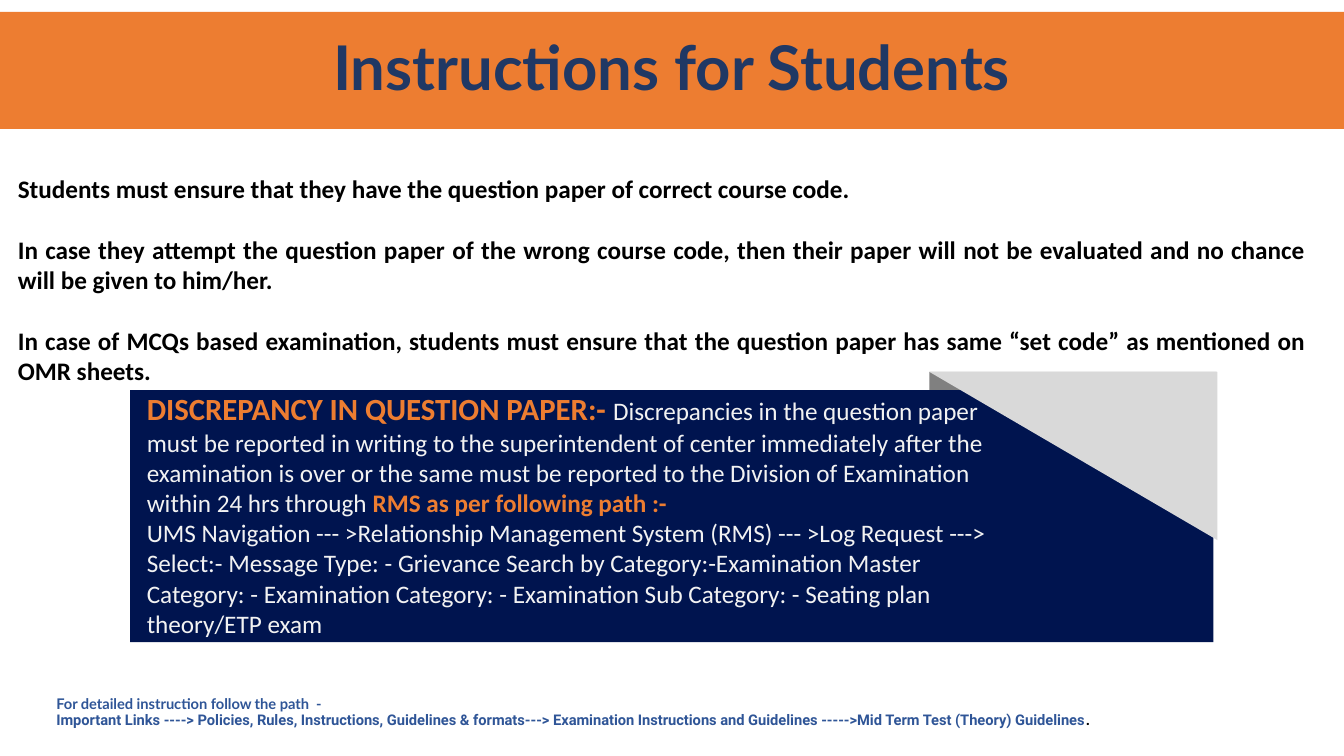
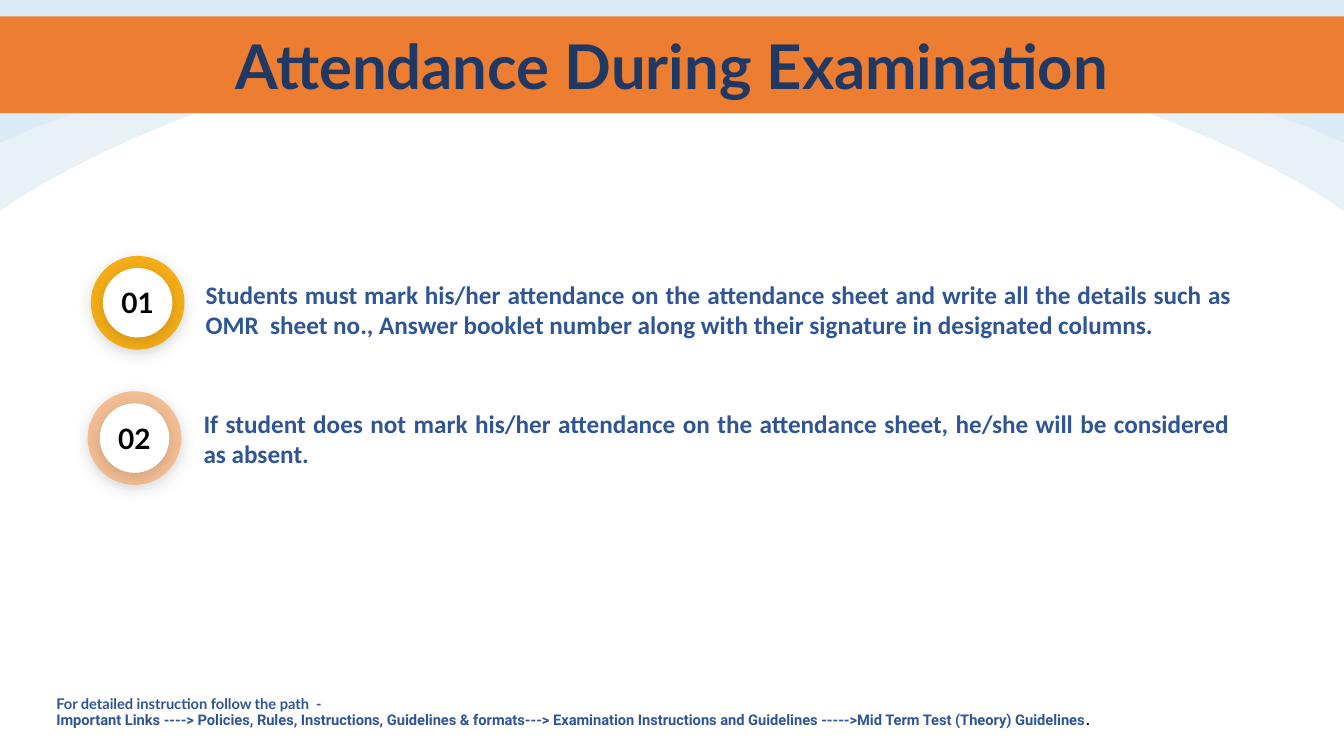
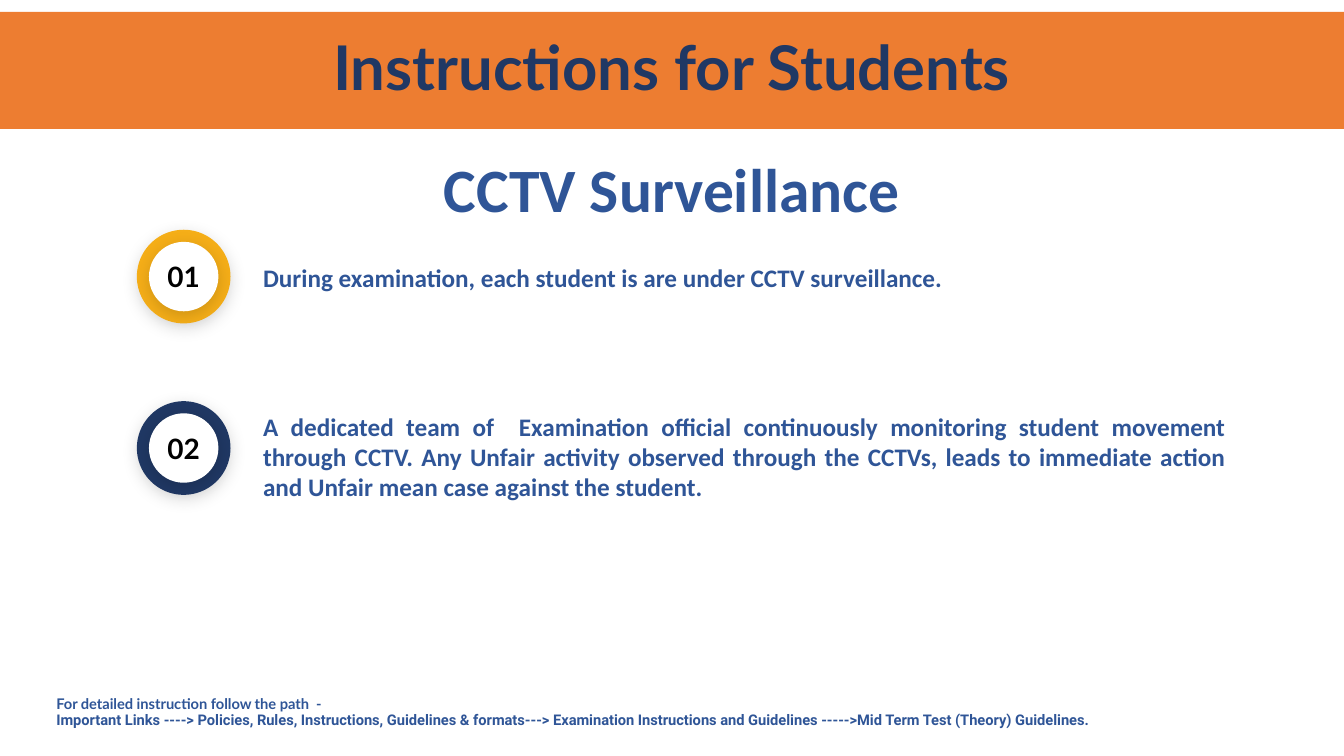
from lxml.etree import SubElement
from pptx import Presentation
from pptx.dml.color import RGBColor
from pptx.enum.shapes import MSO_SHAPE
from pptx.enum.text import MSO_ANCHOR, MSO_AUTO_SIZE, PP_ALIGN
from pptx.oxml import parse_xml
from pptx.oxml.ns import nsdecls, qn
from pptx.util import Cm, Pt

ORANGE = RGBColor(0xED, 0x7D, 0x31)
NAVY = RGBColor(0x20, 0x38, 0x64)
BLUE = RGBColor(0x2F, 0x55, 0x97)
PANEL = RGBColor(0x00, 0x14, 0x4F)
AMBER = RGBColor(0xF5, 0xAE, 0x18)
PEACH = RGBColor(0xF3, 0xBE, 0x94)
GRAY = RGBColor(0x80, 0x80, 0x80)
SILVER = RGBColor(0xD9, 0xD9, 0xD9)
OFF_WHITE = RGBColor(0xF2, 0xF2, 0xF2)
PALE = RGBColor(0xE8, 0xF1, 0xF6)
SKY = RGBColor(0x7A, 0xC2, 0xF9)
WHITE = RGBColor(0xFF, 0xFF, 0xFF)
BLACK = RGBColor(0x00, 0x00, 0x00)

WIDTH, HEIGHT = 33.87, 19.05
RING, DISC = 2.36, 1.75
CURVE_STEPS = 24
FOOTER_LEAD = "For detailed instruction follow the path  -"
FOOTER_PATH = (
    "Important Links ----> Policies, Rules, Instructions, Guidelines & formats---> "
    "Examination Instructions and Guidelines ----->Mid Term Test (Theory) Guidelines"
)


def write(frame, paragraphs, align=PP_ALIGN.LEFT, anchor=MSO_ANCHOR.TOP, inset=None,
          spacing=None, gap=0, **style):
    """Fill a frame with paragraphs, each a string or a list of (text, style) runs."""
    frame.word_wrap = True
    frame.auto_size = MSO_AUTO_SIZE.NONE
    frame.vertical_anchor = anchor
    if inset is not None:
        frame.margin_left = frame.margin_right = Cm(inset)
        frame.margin_top = frame.margin_bottom = Cm(inset)
    for index, content in enumerate(paragraphs):
        paragraph = frame.add_paragraph() if index else frame.paragraphs[0]
        paragraph.alignment = align
        if spacing:
            paragraph.line_spacing = spacing
        if index and gap:
            paragraph.space_before = Pt(gap)
        runs = [(content, {})] if isinstance(content, str) else content
        for words, changes in runs:
            look = {"size": 18, "font": "Calibri", "color": BLUE, "bold": True, **style, **changes}
            run = paragraph.add_run()
            run.text = words
            run.font.size = Pt(look["size"])
            run.font.name = look["font"]
            run.font.bold = look["bold"]
            run.font.color.rgb = look["color"]


def bezier(start, first, second, end, t):
    """Return one coordinate of a cubic curve."""
    u = 1 - t
    return u**3 * start + 3 * u * u * t * first + 3 * u * t * t * second + t**3 * end


class Deck:
    """Holds the presentation, its style and the current slide."""

    def __init__(self):
        """Start an empty widescreen deck."""
        self.presentation = Presentation()
        self.presentation.slide_width = Cm(WIDTH)
        self.presentation.slide_height = Cm(HEIGHT)

    def start_slide(self):
        """Add a title-only slide."""
        self.slide = self.presentation.slides.add_slide(self.presentation.slide_layouts[5])

    def title(self, words, top=0.3, height=2.95, spacing=0.9):
        """Turn the title into the orange band in front of the other parts."""
        band = self.slide.shapes.title
        band.left, band.top, band.width, band.height = map(Cm, (0, top, WIDTH, height))
        band.fill.solid()
        band.fill.fore_color.rgb = ORANGE
        write(band.text_frame, [words], align=PP_ALIGN.CENTER, anchor=MSO_ANCHOR.MIDDLE,
              spacing=spacing, size=44, font="Lato", color=NAVY)
        band.element.getparent().append(band.element)

    def paint(self, shape, color):
        """Give a shape a plain fill without line or shadow."""
        shape.shadow.inherit = False
        shape.fill.solid()
        shape.fill.fore_color.rgb = color
        shape.line.fill.background()
        return shape

    def shape(self, preset, box, color):
        """Add a plain preset shape."""
        return self.paint(self.slide.shapes.add_shape(preset, *map(Cm, box)), color)

    def text(self, box, paragraphs, **style):
        """Add a wrapped text box."""
        write(self.slide.shapes.add_textbox(*map(Cm, box)).text_frame, paragraphs, **style)

    def circle(self, left, top, diameter, color):
        """Add a circle with a soft shadow below it."""
        circle = self.shape(MSO_SHAPE.OVAL, (left, top, diameter, diameter), color)
        effects = circle.element.spPr.find(qn("a:effectLst"))
        effects.append(parse_xml(
            f'<a:outerShdw {nsdecls("a")} blurRad="{Pt(12)}" dist="{Pt(3)}" dir="5400000" '
            'algn="t" rotWithShape="0"><a:srgbClr val="000000"><a:alpha val="15000"/>'
            '</a:srgbClr></a:outerShdw>'))
        return circle

    def badge(self, left, top, number, color):
        """Add a numbered disc inside a coloured ring."""
        self.circle(left, top, RING, color)
        rim = (RING - DISC) / 2
        disc = self.circle(left + rim, top + rim, DISC, WHITE)
        write(disc.text_frame, [number], align=PP_ALIGN.CENTER, anchor=MSO_ANCHOR.MIDDLE,
              inset=0, size=20, font="Lato", color=BLACK)

    def arch(self, depth, color, alpha=100):
        """Add a tinted area across the top with an arched lower edge."""
        steps = [step / CURVE_STEPS for step in range(CURVE_STEPS + 1)]
        half = [(0, 0), (0, depth)] + [
            (bezier(0.64, 4.93, 10.67, WIDTH / 2, t),
             depth * bezier(0.92, 0.44, 0.15, 0.15, t)) for t in steps]
        outline = half + [(WIDTH - x, y) for x, y in reversed(half[:-1])]
        points = [(Cm(x), Cm(y)) for x, y in outline]
        builder = self.slide.shapes.build_freeform(*points[0])
        builder.add_line_segments(points[1:], close=True)
        arch = self.paint(builder.convert_to_shape(), color)
        if alpha < 100:
            tint = arch.element.spPr.find(qn("a:solidFill"))[0]
            SubElement(tint, qn("a:alpha")).set("val", str(alpha * 1000))

    def footer(self, stop_color=BLACK):
        """Add the path to the detailed instructions."""
        roboto = {"font": "Roboto"}
        self.text((1.42, 17.55, 28.04, 1.22),
                  [FOOTER_LEAD,
                   [(FOOTER_PATH, roboto), (".", {**roboto, "color": stop_color})]],
                  inset=0, spacing=0.9, size=10.5, font="Lato")


def question_paper_slide(deck):
    """Build the slide on question papers."""
    deck.start_slide()
    deck.shape(MSO_SHAPE.RECTANGLE, (23.42, 9.37, 7.24, 2.69), GRAY)
    deck.text((0.2, 4.24, 32.97, 5.64), [
        "Students must ensure that they have the question paper of correct course code.",
        "In case they attempt the question paper of the wrong course code, then their paper "
        "will not be evaluated and no chance will be given to him/her.",
        "In case of MCQs based examination, students must ensure that the question paper has "
        "same “set code” as mentioned on OMR sheets.",
    ], align=PP_ALIGN.JUSTIFY, gap=22, color=BLACK)
    deck.shape(MSO_SHAPE.RECTANGLE, (3.28, 9.83, 27.3, 6.35), PANEL)
    fold = deck.shape(MSO_SHAPE.RIGHT_TRIANGLE, (23.42, 9.37, 7.26, 4.24), SILVER)
    fold.rotation = 180
    accent = {"color": ORANGE, "bold": True}
    deck.text((3.45, 9.7, 22.15, 6.58), [
        [("DISCREPANCY IN QUESTION PAPER:- ", {**accent, "size": 22}),
         ("Discrepancies in the question paper must be reported in writing to the "
          "superintendent of center immediately after the examination is over or the same "
          "must be reported to the Division of Examination within 24 hrs through ", {}),
         ("RMS as per following path :-", accent)],
        "UMS Navigation --- >Relationship Management System (RMS) --- >Log Request ---> "
        "Select:- Message Type: - Grievance Search by Category:-Examination Master Category: "
        "- Examination Category: - Examination Sub Category: - Seating plan theory/ETP exam",
    ], color=OFF_WHITE, bold=False)
    deck.footer()
    deck.title("Instructions for Students")


def attendance_slide(deck):
    """Build the slide on attendance."""
    deck.start_slide()
    deck.footer()
    deck.arch(5.31, PALE)
    deck.arch(3.61, SKY, alpha=11)
    deck.badge(2.29, 6.45, "01", AMBER)
    deck.text((4.93, 6.91, 26.37, 1.8), [
        "Students must mark his/her attendance on the attendance sheet and write all the "
        "details such as OMR  sheet no., Answer booklet number along with their signature in "
        "designated columns."], align=PP_ALIGN.JUSTIFY)
    deck.badge(2.21, 9.86, "02", PEACH)
    deck.text((4.88, 10.16, 26.37, 1.8), [
        "If student does not mark his/her attendance on the attendance sheet, he/she will be "
        "considered as absent."], align=PP_ALIGN.JUSTIFY)
    deck.title("Attendance During Examination", top=0.41, height=2.44, spacing=1)


def surveillance_slide(deck):
    """Build the slide on camera surveillance."""
    deck.start_slide()
    deck.footer(stop_color=BLUE)
    deck.text((0, 3.35, WIDTH, 2.79), ["CCTV Surveillance"], align=PP_ALIGN.CENTER,
              anchor=MSO_ANCHOR.MIDDLE, size=44)
    deck.badge(3.45, 5.79, "01", AMBER)
    deck.text((6.38, 6.48, 21.13, 1.8),
              ["During examination, each student is are under CCTV surveillance."])
    deck.badge(3.45, 10.11, "02", NAVY)
    deck.text((6.38, 10.24, 24.77, 2.57), [
        "A dedicated team of  Examination official continuously monitoring student movement "
        "through CCTV. Any Unfair activity observed through the CCTVs, leads to immediate "
        "action and Unfair mean case against the student."], align=PP_ALIGN.JUSTIFY)
    deck.title("Instructions for Students")


def main():
    """Build and save the deck."""
    deck = Deck()
    question_paper_slide(deck)
    attendance_slide(deck)
    surveillance_slide(deck)
    deck.presentation.save("out.pptx")


if __name__ == "__main__":
    main()
